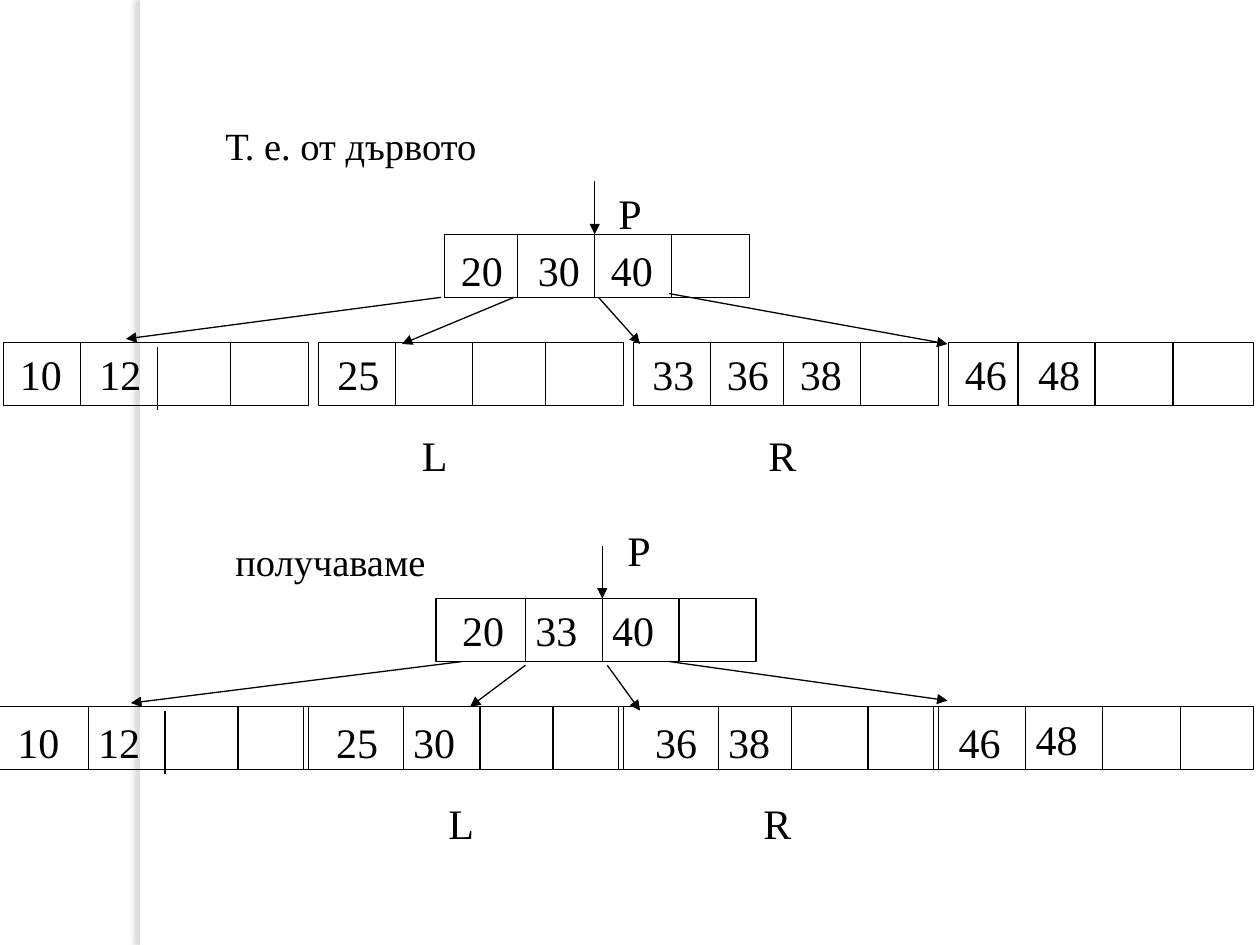
from dataclasses import dataclass

from lxml import etree
from pptx import Presentation
from pptx import util as u
from pptx.dml.color import RGBColor
from pptx.enum import shapes, text
from pptx.oxml import parse_xml
from pptx.oxml.ns import qn

Inches = u.Inches
A_NS = "http://schemas.openxmlformats.org/drawingml/2006/main"


@dataclass(frozen=True)
class Theme:
    ink: RGBColor = RGBColor(0, 0, 0)
    paper: RGBColor = RGBColor(255, 255, 255)
    shade: str = "736F63"
    font: str = "Times New Roman"
    caption: int = 22
    label: int = 24
    line: float = 0.75


@dataclass(frozen=True)
class Box:
    left: float
    top: float
    width: float
    height: float


@dataclass(frozen=True)
class Tree:
    root_left: float
    leaf_left: float
    node_width: float
    shift: float      # offset of the dividers from DIVIDERS
    label_width: float
    letter_width: float
    keys: tuple       # (text, x, y)
    letters: tuple    # (text, x, y)
    links: tuple      # (x1, y1, x2, y2)


THEME = Theme()

# Heights inside a tree, from the start of the pointer P
ROOT_Y, LEAF_Y, NODE_HEIGHT = 0.42, 1.28, 0.5
LEAF_STEP = 2.5
POINTER_X = 4.72

# Dividers between the keys: (x, y)
DIVIDERS = (
    *((x, ROOT_Y) for x in (4.11, 4.72, 5.33)),
    *((x, LEAF_Y) for x in (0.64, 1.83, 3.14, 3.75, 4.33, 5.64,
                            6.22, 6.83, 8.08, 8.69, 9.31)),
    (1.25, LEAF_Y + 0.03),
)

BEFORE = Tree(
    root_left=3.53, leaf_left=0.03, node_width=2.42, shift=0,
    label_width=0.83, letter_width=0.75,
    keys=(
        ("20", 3.56, 0.45), ("30", 4.17, 0.45), ("40", 4.75, 0.45),
        ("10", 0.06, 1.28), ("12", 0.69, 1.28), ("25", 2.58, 1.28),
        ("33", 5.08, 1.28), ("36", 5.67, 1.28), ("38", 6.25, 1.28),
        ("46", 7.56, 1.28), ("48", 8.14, 1.28),
    ),
    letters=(("Р", 4.81, 0), ("L", 3.25, 1.92), ("R", 6, 1.92)),
    links=((3.5, 0.92, 1, 1.25), (4.08, 0.92, 3.19, 1.29),
           (4.75, 0.92, 5.08, 1.29), (5.31, 0.89, 7.52, 1.29)),
)

AFTER = Tree(
    root_left=3.46, leaf_left=-0.09, node_width=2.54, shift=0.06,
    label_width=0.88, letter_width=0.79,
    keys=(
        ("20", 3.57, 0.42), ("33", 4.15, 0.42), ("40", 4.76, 0.42),
        ("10", 0.04, 1.31), ("12", 0.68, 1.31), ("25", 2.57, 1.31),
        ("30", 3.18, 1.31), ("36", 5.1, 1.31), ("38", 5.68, 1.31),
        ("46", 7.51, 1.31), ("48", 8.12, 1.28),
    ),
    letters=(("Р", 4.88, -0.22), ("L", 3.46, 1.95), ("R", 5.96, 1.95)),
    links=((3.67, 0.92, 1.04, 1.25), (4.17, 0.95, 3.73, 1.28),
           (4.82, 0.95, 5.08, 1.31), (5.31, 0.92, 7.52, 1.23)),
)


def add_words(parent, box, words, size):
    field = parent.add_textbox(Inches(box.left), Inches(box.top),
                               Inches(box.width), Inches(box.height))
    frame = field.text_frame
    frame.word_wrap = True
    frame.vertical_anchor = text.MSO_ANCHOR.TOP
    run = frame.paragraphs[0].add_run()
    run.text = words
    run.font.name = THEME.font
    run.font.size = u.Pt(size)
    run.font.color.rgb = THEME.ink


def add_line(parent, x1, y1, x2, y2, arrow=False):
    line = parent.add_connector(shapes.MSO_CONNECTOR.STRAIGHT, Inches(x1),
                                Inches(y1), Inches(x2), Inches(y2))
    line.line.color.rgb = THEME.ink
    line.line.width = u.Pt(THEME.line)
    if arrow:
        etree.SubElement(line.line._get_or_add_ln(), qn("a:tailEnd"),
                         type="triangle")
    etree.SubElement(line._element.spPr, qn("a:effectLst"))


def add_node(parent, box):
    node = parent.add_shape(shapes.MSO_SHAPE.RECTANGLE, Inches(box.left),
                            Inches(box.top), Inches(box.width),
                            Inches(box.height))
    node.shadow.inherit = False
    node.fill.background()
    node.line.color.rgb = THEME.ink
    node.line.width = u.Pt(THEME.line)


def draw_side_bar(slide, box):
    bar = slide.shapes.add_shape(shapes.MSO_SHAPE.RECTANGLE, Inches(box.left),
                                 Inches(box.top), Inches(box.width),
                                 Inches(box.height))
    bar.fill.solid()
    bar.fill.fore_color.rgb = THEME.paper
    bar.line.fill.background()
    # Soft shadow to the left
    bar._element.spPr.append(parse_xml(
        f'<a:effectLst xmlns:a="{A_NS}"><a:outerShdw blurRad="{u.Pt(3)}" '
        f'dist="{u.Pt(3)}" dir="10800000" algn="tl" rotWithShape="0">'
        f'<a:srgbClr val="{THEME.shade}"><a:alpha val="25000"/></a:srgbClr>'
        '</a:outerShdw></a:effectLst>'))


def draw_tree(slide, box, tree):
    parts = slide.shapes.add_group_shape().shapes

    def at(x, y, width, height=NODE_HEIGHT):
        return Box(box.left + x, box.top + y, width, height)

    def line(x1, y1, x2, y2, arrow=False):
        add_line(parts, box.left + x1, box.top + y1,
                 box.left + x2, box.top + y2, arrow)

    # Root and leaves
    add_node(parts, at(tree.root_left, ROOT_Y, tree.node_width))
    for i in range(4):
        add_node(parts, at(tree.leaf_left + i * LEAF_STEP, LEAF_Y,
                           tree.node_width))
    for x, y in DIVIDERS:
        line(x + tree.shift, y, x + tree.shift, y + NODE_HEIGHT)

    # Pointer to the root and links to the leaves
    pointer_x = POINTER_X + tree.shift
    for link in ((pointer_x, 0, pointer_x, ROOT_Y), *tree.links):
        line(*link, arrow=True)

    # Keys and letters
    for labels, width in ((tree.keys, tree.label_width),
                          (tree.letters, tree.letter_width)):
        for words, x, y in labels:
            add_words(parts, at(x, y, width), words, THEME.label)


def main():
    prs = Presentation()
    prs.slide_width, prs.slide_height = Inches(10), Inches(7.5)
    slide = prs.slides.add_slide(prs.slide_layouts[6])

    draw_side_bar(slide, Box(1.11, 0, 0.08, 7.5))
    add_words(slide.shapes, Box(1.69, 0.92, 7.34, 0.45), "Т. е. от дървото",
              THEME.caption)
    add_words(slide.shapes, Box(1.77, 4.22, 7.26, 0.45), "получаваме",
              THEME.caption)
    draw_tree(slide, Box(0, 1.44, 10, 2.42), BEFORE)
    draw_tree(slide, Box(0, 4.33, 10, 2.45), AFTER)

    prs.save("out.pptx")


if __name__ == "__main__":
    main()
